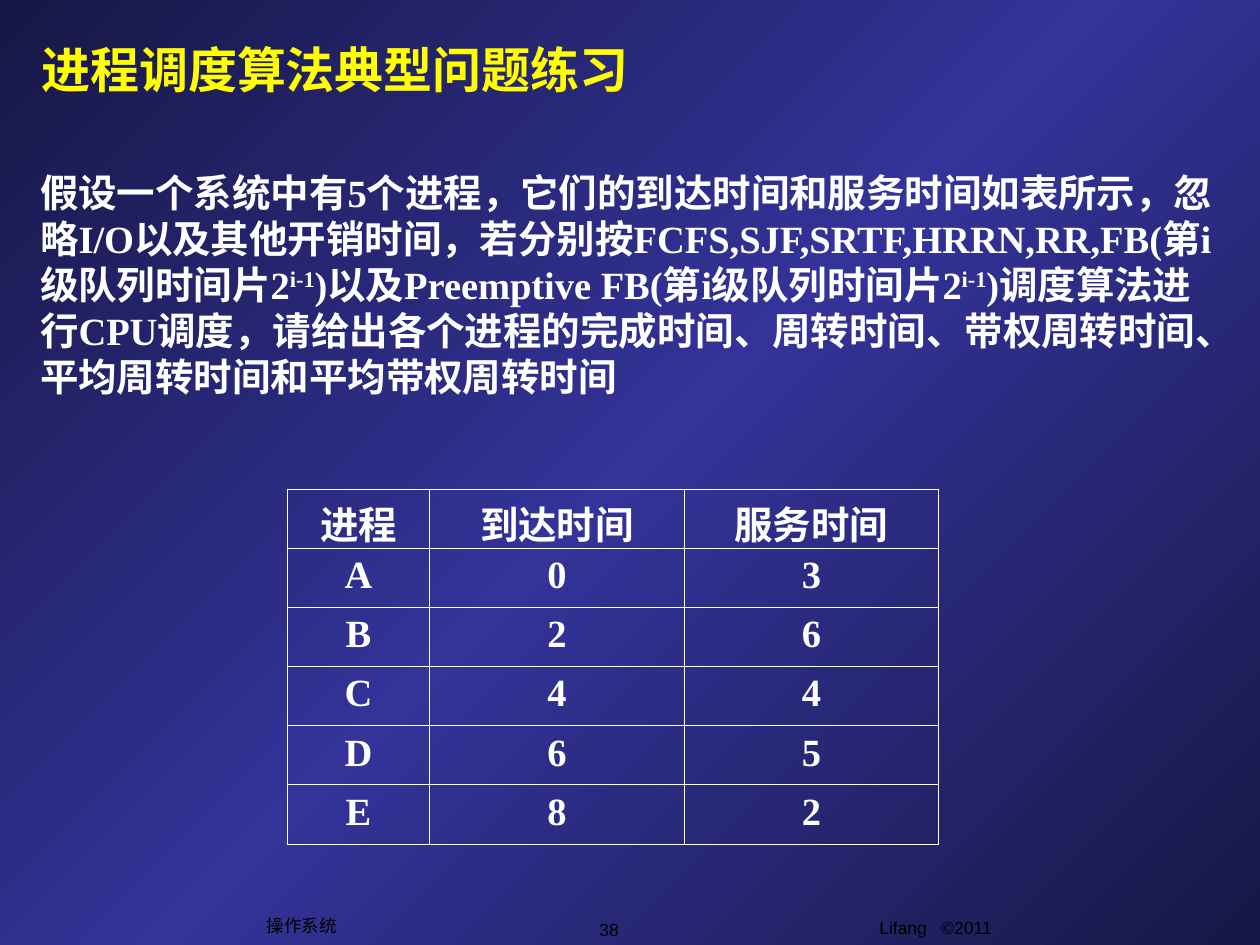
from copy import deepcopy
from dataclasses import dataclass
from typing import Optional

from lxml import etree
from pptx import Presentation
from pptx.dml.color import RGBColor
from pptx.enum.text import MSO_ANCHOR, PP_ALIGN
from pptx.oxml.ns import qn
from pptx.util import Inches, Pt

LEFT, CENTER = PP_ALIGN.LEFT, PP_ALIGN.CENTER
TOP, MIDDLE = MSO_ANCHOR.TOP, MSO_ANCHOR.MIDDLE

COLORS = {
    "edge": "171746",
    "band": "333399",
    "title": "FFFF00",
    "text": "FFFFFF",
    "footer": "000000",
}
SERIF, SANS = "Times New Roman", "Arial"


@dataclass
class Style:
    size: float
    font: str
    color: str
    bold: bool = False


@dataclass
class TextBox:
    left: float
    top: float
    width: float
    height: float
    runs: list[str]  # every second run is superscript
    style: Style
    align: PP_ALIGN = LEFT
    anchor: MSO_ANCHOR = MIDDLE
    wrap: bool = True
    line_pt: Optional[float] = None


TITLE = Style(28, SERIF, "title", True)
BODY = Style(22, SERIF, "text", True)
FOOTER = Style(10, SANS, "footer")

TEXT_BOXES = [
    TextBox(5.84, 7.23, 3.17, 0.35, ["Lifang   ©2011"], FOOTER, CENTER, TOP),
    TextBox(4.42, 7.24, 0.83, 0.27, ["38"], FOOTER, CENTER, wrap=False),
    TextBox(2.02, 7.21, 0.75, 0.27, ["操作系统"], FOOTER, CENTER, wrap=False),
    TextBox(0.23, 0.27, 8.89, 0.56, ["进程调度算法典型问题练习"], TITLE),
    TextBox(0.22, 1.25, 9.58, 2.01, [
        "假设一个系统中有5个进程，它们的到达时间和服务时间如表所示，忽略I/O以及其他开销时间，"
        "若分别按FCFS,SJF,SRTF,HRRN,RR,FB(第i级队列时间片2",
        "i-1",
        ")以及Preemptive FB(第i级队列时间片2",
        "i-1",
        ")调度算法进行CPU调度，请给出各个进程的完成时间、周转时间、带权周转时间、"
        "平均周转时间和平均带权周转时间",
    ], BODY, line_pt=26.4),
]

PROCESSES = [
    ("进程", "到达时间", "服务时间"),
    ("A", "0", "3"),
    ("B", "2", "6"),
    ("C", "4", "4"),
    ("D", "6", "5"),
    ("E", "8", "2"),
]
COLUMN_WIDTHS = [1.13, 2.02, 2.02]
ROW_HEIGHT = 0.47


def rgb(name: str) -> RGBColor:
    return RGBColor.from_string(COLORS[name])


def style_run(r, style: Style) -> None:
    r.font.size = Pt(style.size)
    r.font.name = style.font
    r.font.bold = style.bold
    r.font.color.rgb = rgb(style.color)


def set_background(s) -> None:
    """Diagonal gradient, light in the middle and dark at both ends."""
    fill = s.background.fill
    fill.gradient()
    fill.gradient_angle = 135
    first = fill.gradient_stops[0]._gs
    first.addnext(deepcopy(first))
    for stop, (position, name) in zip(
        fill.gradient_stops, [(0, "edge"), (0.5, "band"), (1, "edge")]
    ):
        stop.position = position
        stop.color.rgb = rgb(name)


def add_text(s, box: TextBox) -> None:
    sp = s.shapes.add_textbox(
        Inches(box.left), Inches(box.top), Inches(box.width), Inches(box.height)
    )
    tf = sp.text_frame
    tf.word_wrap = box.wrap
    tf.vertical_anchor = box.anchor
    p = tf.paragraphs[0]
    p.alignment = box.align
    if box.line_pt:
        p.line_spacing = Pt(box.line_pt)
    for i, text in enumerate(box.runs):
        r = p.add_run()
        r.text = text
        style_run(r, box.style)
        if i % 2:
            r.font._element.set("baseline", "30000")


def add_borders(cell, color: str, width: float) -> None:
    """Line all four sides; the lines must precede the fill in tcPr."""
    tc_pr = cell._tc.get_or_add_tcPr()
    for i, side in enumerate(("a:lnL", "a:lnR", "a:lnT", "a:lnB")):
        ln = etree.Element(qn(side), w=str(Pt(width)))
        fill = etree.SubElement(ln, qn("a:solidFill"))
        etree.SubElement(fill, qn("a:srgbClr"), val=COLORS[color])
        tc_pr.insert(i, ln)


def add_process_table(s) -> None:
    table = s.shapes.add_table(
        len(PROCESSES), len(COLUMN_WIDTHS), Inches(2.28), Inches(3.88),
        Inches(sum(COLUMN_WIDTHS)), Inches(ROW_HEIGHT * len(PROCESSES)),
    ).table
    table.first_row = table.horz_banding = False
    for column, width in zip(table.columns, COLUMN_WIDTHS):
        column.width = Inches(width)
    for row, values in zip(table.rows, PROCESSES):
        row.height = Inches(ROW_HEIGHT)
        for cell, value in zip(row.cells, values):
            cell.fill.background()
            add_borders(cell, "text", 0.45)
            p = cell.text_frame.paragraphs[0]
            p.text = value
            p.alignment = CENTER
            style_run(p.runs[0], BODY)


def main() -> None:
    prs = Presentation()
    prs.slide_width, prs.slide_height = Inches(10), Inches(7.5)
    s = prs.slides.add_slide(prs.slide_layouts[6])
    set_background(s)
    for box in TEXT_BOXES:
        add_text(s, box)
    add_process_table(s)
    prs.save("out.pptx")


if __name__ == "__main__":
    main()
